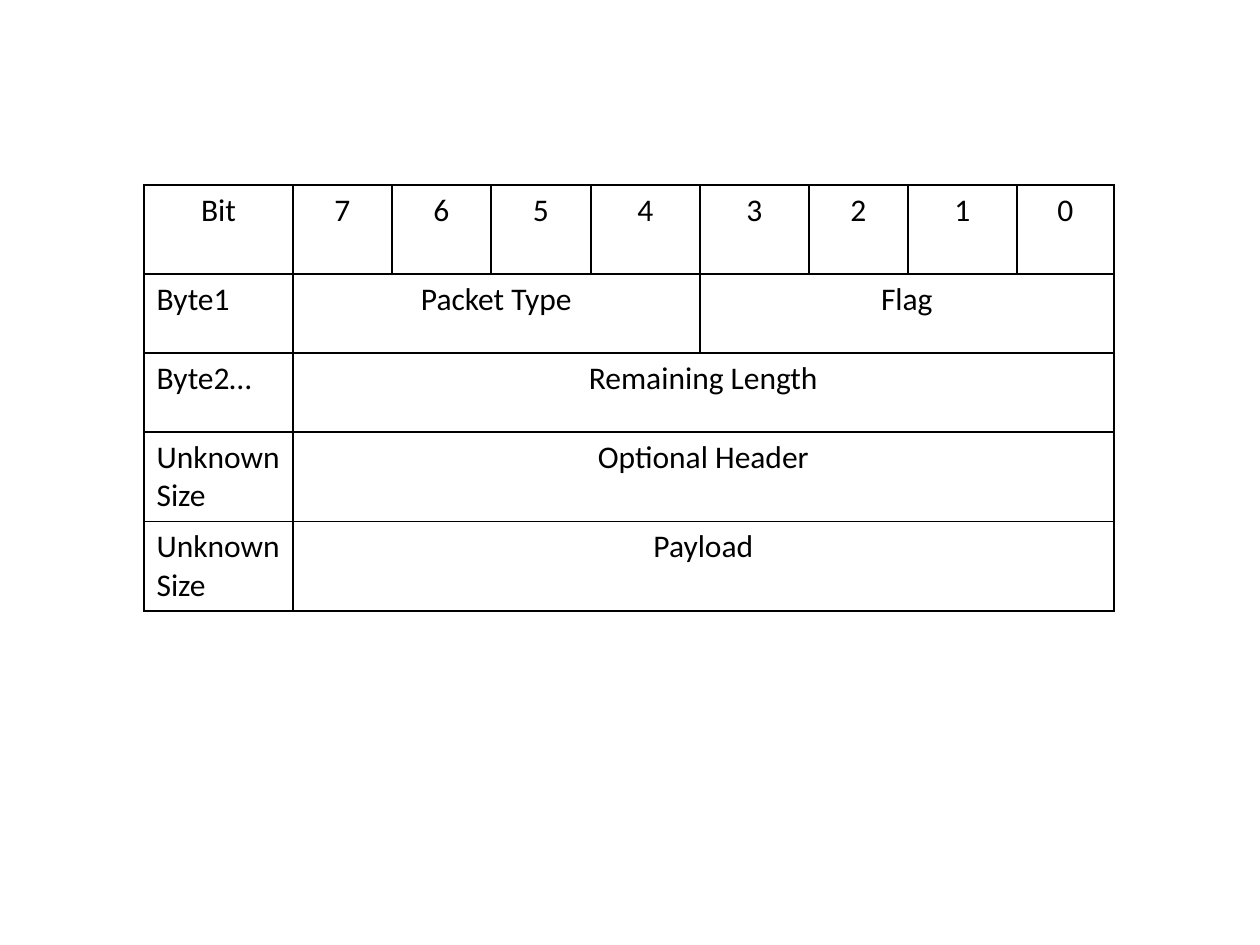
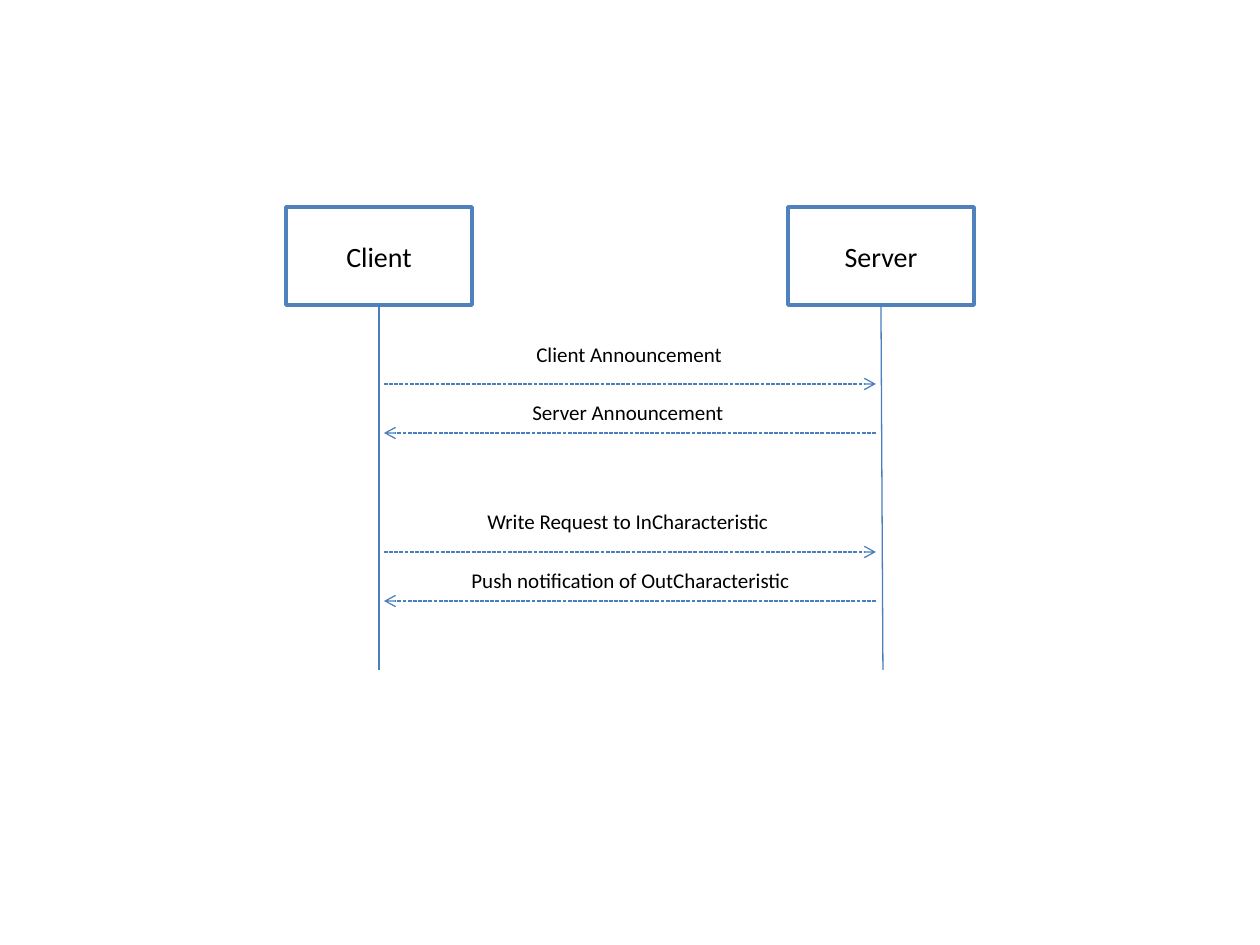
from dataclasses import dataclass

from lxml import etree
from pptx import Presentation
from pptx import util as u
from pptx.dml.color import RGBColor
from pptx.enum import dml, shapes, text
from pptx.oxml.ns import qn

PX = u.Inches(1) // 126  # EMU in one pixel
CENTER, LEFT = text.PP_ALIGN.CENTER, text.PP_ALIGN.LEFT


@dataclass(frozen=True)
class Theme:
    """Colours, font and sizes shared by the slides."""
    font: str = "Calibri"
    ink: str = "000000"
    paper: str = "FFFFFF"
    box_line: str = "4F81BD"
    line: str = "4B7EBC"
    table_size: int = 18
    box_size: int = 16
    label_size: int = 12


def rgb(value):
    """Turn a hex string into a colour."""
    return RGBColor.from_string(value)


def put_text(tf, content, *, size, font, color, align=LEFT):
    """Put text into a frame, one paragraph for each line."""
    for i, line in enumerate(content.split("\n")):
        p = tf.add_paragraph() if i else tf.paragraphs[0]
        p.alignment = align
        r = p.add_run()
        r.text = line
        r.font.size = u.Pt(size)
        r.font.name = font
        r.font.color.rgb = rgb(color)


class Deck:
    """Holds the theme, the presentation and the current slide."""

    def __init__(self, theme):
        """Start a 10 by 7.5 inch presentation."""
        self.theme = theme
        self.prs = Presentation()
        self.prs.slide_width, self.prs.slide_height = u.Inches(10), u.Inches(7.5)
        self.s = None

    def slide(self):
        """Add a blank slide and make it current."""
        self.s = self.prs.slides.add_slide(self.prs.slide_layouts[6])

    def fill_text(self, tf, content, size, align=LEFT):
        """Put text in the theme's font and ink into a frame."""
        put_text(tf, content, size=size, font=self.theme.font,
                 color=self.theme.ink, align=align)

    def border(self, cell):
        """Draw a 1 pt border round a cell."""
        tc_pr = cell._tc.get_or_add_tcPr()
        for i, side in enumerate(("lnL", "lnR", "lnT", "lnB")):
            ln = etree.Element(qn(f"a:{side}"), w=str(u.Pt(1)))
            fill = etree.SubElement(ln, qn("a:solidFill"))
            etree.SubElement(fill, qn("a:srgbClr"), val=self.theme.ink)
            tc_pr.insert(i, ln)

    def table(self, x, y, widths, heights, rows):
        """Add a plain grid; each row lists (text, columns spanned, alignment)."""
        frame = self.s.shapes.add_table(len(heights), len(widths), x * PX, y * PX,
                                        sum(widths) * PX, sum(heights) * PX)
        tbl = frame.table
        tbl.first_row = tbl.horz_banding = False
        for col, width in zip(tbl.columns, widths):
            col.width = width * PX
        for row, height in zip(tbl.rows, heights):
            row.height = height * PX
        for cell in tbl.iter_cells():
            cell.fill.background()
            self.border(cell)
        for i, row in enumerate(rows):
            j = 0
            for content, span, align in row:
                cell = tbl.cell(i, j)
                if span > 1:
                    cell.merge(tbl.cell(i, j + span - 1))
                self.fill_text(cell.text_frame, content, self.theme.table_size, align)
                j += span

    def box(self, x, y, w, h, content):
        """Add an outlined process box with centred text."""
        sp = self.s.shapes.add_shape(shapes.MSO_SHAPE.FLOWCHART_PROCESS,
                                     x * PX, y * PX, w * PX, h * PX)
        sp.shadow.inherit = False
        sp.fill.solid()
        sp.fill.fore_color.rgb = rgb(self.theme.paper)
        sp.line.color.rgb = rgb(self.theme.box_line)
        sp.line.width = u.Pt(2)
        sp.text_frame.vertical_anchor = text.MSO_ANCHOR.MIDDLE
        self.fill_text(sp.text_frame, content, self.theme.box_size, CENTER)

    def line(self, x1, y1, x2, y2, arrow=False):
        """Add a thin line, or a dashed one with an arrowhead at its end."""
        cxn = self.s.shapes.add_connector(shapes.MSO_CONNECTOR.STRAIGHT,
                                          x1 * PX, y1 * PX, x2 * PX, y2 * PX)
        cxn.line.color.rgb = rgb(self.theme.line)
        cxn.line.width = u.Pt(0.75)
        sp_pr = cxn._element.spPr
        if arrow:
            cxn.line.dash_style = dml.MSO_LINE.SQUARE_DOT
            etree.SubElement(sp_pr.find(qn("a:ln")), qn("a:tailEnd"), type="arrow")
        etree.SubElement(sp_pr, qn("a:effectLst"))

    def label(self, x, y, w, content):
        """Add a one-line text box that fits its text."""
        tf = self.s.shapes.add_textbox(x * PX, y * PX, w * PX, 38 * PX).text_frame
        tf.word_wrap = False
        tf.auto_size = text.MSO_AUTO_SIZE.SHAPE_TO_FIT_TEXT
        self.fill_text(tf, content, self.theme.label_size)


def packet_slide(deck):
    """Draw the layout of a packet, bit by bit."""
    deck.slide()
    header = [(name, 1, CENTER) for name in ("Bit", *"76543210")]
    fields = [("Byte1", "Packet Type", "Flag"),
              ("Byte2…", "Remaining Length"),
              ("Unknown\nSize", "Optional Header"),
              ("Unknown\nSize", "Payload")]
    rows = [[(name, 1, LEFT)] + [(part, 8 // len(parts), CENTER) for part in parts]
            for name, *parts in fields]
    deck.table(144, 185, [149, 99, 99, 100, 109, 109, 99, 109, 97],
               [89, 79, 79, 89, 89], [header] + rows)


def sequence_slide(deck):
    """Draw the messages between client and server."""
    deck.slide()
    top, width, height, gap = 207, 186, 98, 5
    client, server = 379, 881
    for name, center, foot in (("Client", client, client),
                               ("Server", server, server + 2)):
        deck.box(center - width // 2, top, width, height, name)
        deck.line(center, top + height, foot, 670)
    ends = client + gap, server - gap
    messages = [("Client Announcement", 524, 335, 213, 384),
                ("Server Announcement", 520, 393, 218, 433),
                ("Write Request to InCharacteristic", 475, 502, 309, 552),
                ("Push notification of OutCharacteristic", 459, 561, 348, 601)]
    for i, (content, x, y, w, arrow_y) in enumerate(messages):
        start, end = ends[::-1] if i % 2 else ends
        deck.line(start, arrow_y, end, arrow_y, arrow=True)
        deck.label(x, y, w, content)


deck = Deck(Theme())
packet_slide(deck)
sequence_slide(deck)
deck.prs.save("out.pptx")
